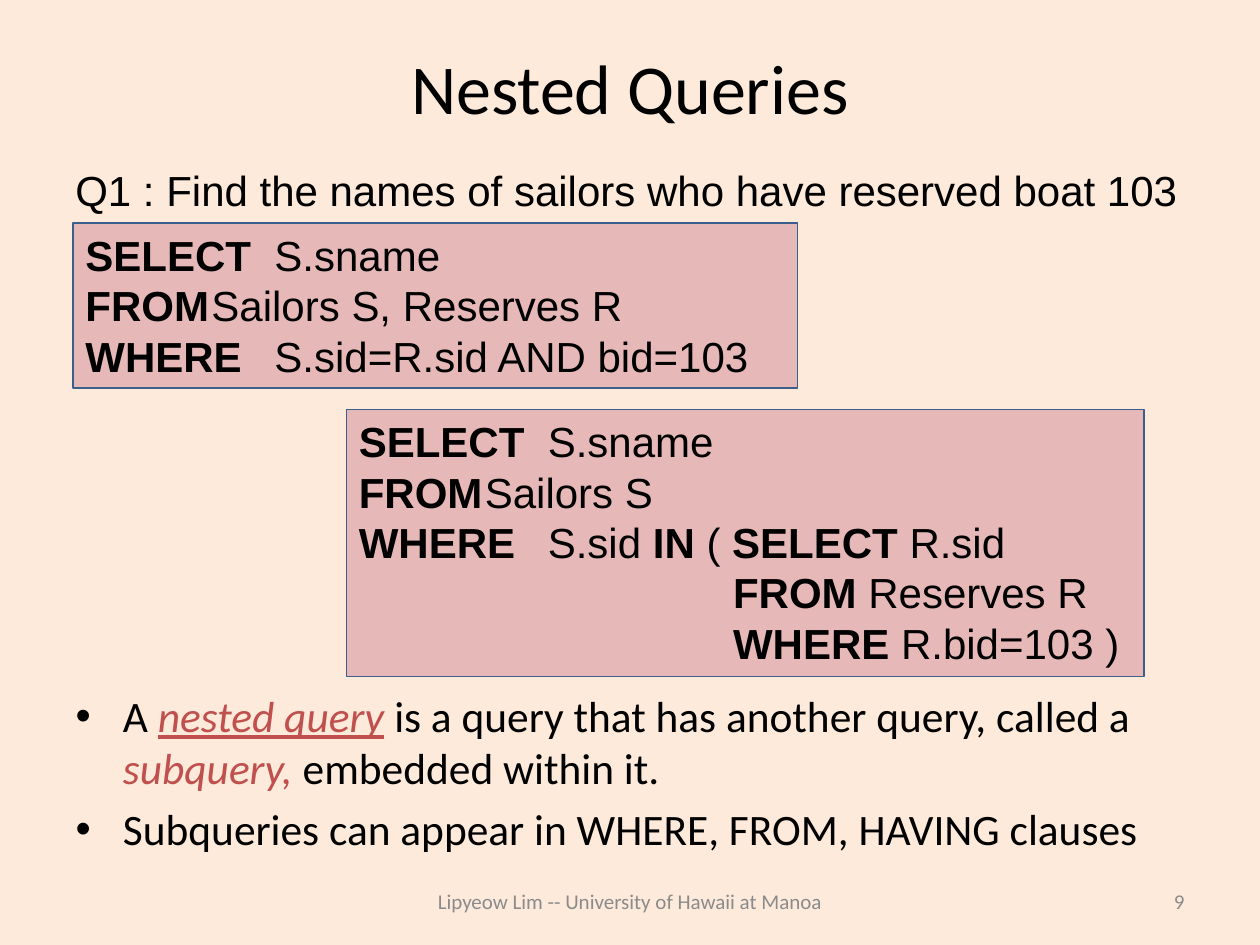
"""Build the Nested Queries slide."""
import pptx
import pptx.dml.color
import pptx.enum.shapes
import pptx.enum.text
import pptx.util
from lxml import etree

Inches, Pt = pptx.util.Inches, pptx.util.Pt
RGBColor = pptx.dml.color.RGBColor
ALIGN = pptx.enum.text.PP_ALIGN
ANCHOR = pptx.enum.text.MSO_ANCHOR
NS = "{http://schemas.openxmlformats.org/drawingml/2006/main}"

CREAM = RGBColor(0xFD, 0xEA, 0xDA)
PINK = RGBColor(0xE6, 0xB9, 0xB8)
BLUE = RGBColor(0x3A, 0x5F, 0x8C)
RED = RGBColor(0xC0, 0x50, 0x4D)
GRAY = RGBColor(0x8B, 0x8B, 0x8B)
BLACK = RGBColor(0, 0, 0)


class Deck:
    """Slide style and the current slide."""

    def __init__(self):
        self.prs = pptx.Presentation()
        self.prs.slide_width, self.prs.slide_height = Inches(10), Inches(7.5)
        self.s = self.prs.slides.add_slide(self.prs.slide_layouts[1])
        self.s.background.fill.solid()
        self.s.background.fill.fore_color.rgb = CREAM

    def place(self, sp, box):
        sp.left, sp.top, sp.width, sp.height = map(Inches, box)
        sp.text_frame.auto_size = pptx.enum.text.MSO_AUTO_SIZE.NONE
        return sp.text_frame

    def paragraph(self, tf, i, runs, size, name="Calibri", color=BLACK, align=ALIGN.LEFT):
        p = tf.add_paragraph() if i else tf.paragraphs[0]
        p.alignment = align
        f = p.font
        f.size, f.name, f.color.rgb = Pt(size), name, color
        for text, style in runs:
            r = p.add_run()
            r.text = text
            if "b" in style:
                r.font.bold = True
            if "i" in style:
                r.font.italic = True
                r.font.color.rgb = RED
            if "u" in style:
                r.font.underline = True
        return p

    def title(self, text, box):
        tf = self.place(self.s.shapes.title, box)
        tf.vertical_anchor = ANCHOR.MIDDLE
        self.paragraph(tf, 0, [(text, "")], 40, align=ALIGN.CENTER)

    def bullets(self, items, box):
        tf = self.place(self.s.placeholders[1], box)
        for i, runs in enumerate(items):
            p = self.paragraph(tf, i, runs, 24.8)
            p.space_before = Pt(5)

    def text(self, text, box, size, name="Calibri", color=BLACK, align=ALIGN.LEFT,
             anchor=ANCHOR.TOP, wrap=True):
        tf = self.place(self.s.shapes.add_textbox(0, 0, 0, 0), box)
        tf.word_wrap, tf.vertical_anchor = wrap, anchor
        self.paragraph(tf, 0, [(text, "")], size, name, color, align)

    def query(self, lines, box):
        sp = self.s.shapes.add_shape(pptx.enum.shapes.MSO_SHAPE.RECTANGLE, 0, 0, 0, 0)
        sp.shadow.inherit = False
        sp.fill.solid()
        sp.fill.fore_color.rgb = PINK
        sp.line.color.rgb, sp.line.width = BLUE, Pt(0.75)
        tf = self.place(sp, box)
        tf.word_wrap, tf.vertical_anchor = True, ANCHOR.TOP
        for i, (indent, line) in enumerate(lines):
            runs = [(t, "b" if k % 2 else "") for k, t in enumerate(line.split("*")) if t]
            p = self.paragraph(tf, i, runs, 24, "Arial")
            pPr = p.font._element.getparent()
            pPr.set("marL", str(Inches(indent)))
            pPr.set("indent", "0")
            tabs = etree.Element(NS + "tabLst")
            etree.SubElement(tabs, NS + "tab", pos=str(Inches(1.43)), algn="l")
            p.font._element.addprevious(tabs)


def main():
    d = Deck()
    d.title("Nested Queries", (0.5, 0.3, 9, 0.78))
    d.bullets([
        [("A ", ""), ("nested query", "iu"),
         (" is a query that has another query, called a ", ""),
         ("subquery, ", "i"), ("embedded within it.", "")],
        [("Subqueries can appear in WHERE, FROM, HAVING clauses", "")],
    ], (0.5, 5.42, 9, 1.28))
    d.text("Lipyeow Lim -- University of Hawaii at Manoa", (3, 6.95, 4, 0.4), 12,
           color=GRAY, align=ALIGN.CENTER, anchor=ANCHOR.MIDDLE)
    d.text("9", (7.17, 6.95, 2.33, 0.4), 12,
           color=GRAY, align=ALIGN.RIGHT, anchor=ANCHOR.MIDDLE)
    d.query([
        (0, "*SELECT*\tS.sname"),
        (0, "*FROM*\tSailors S"),
        (0, "*WHERE*\tS.sid *IN* ( *SELECT* R.sid"),
        (2.97, "*FROM* Reserves R"),
        (2.97, "*WHERE* R.bid=103 )"),
    ], (2.75, 3.25, 6.33, 2.12))
    d.query([
        (0, "*SELECT*\tS.sname"),
        (0, "*FROM*\tSailors S, Reserves R"),
        (0, "*WHERE*\tS.sid=R.sid AND bid=103"),
    ], (0.58, 1.77, 5.75, 1.31))
    d.text("Q1 : Find the names of sailors who have reserved boat 103",
           (0.5, 1.26, 9.04, 0.5), 24, "Arial", wrap=False)
    d.prs.save("out.pptx")


if __name__ == "__main__":
    main()
